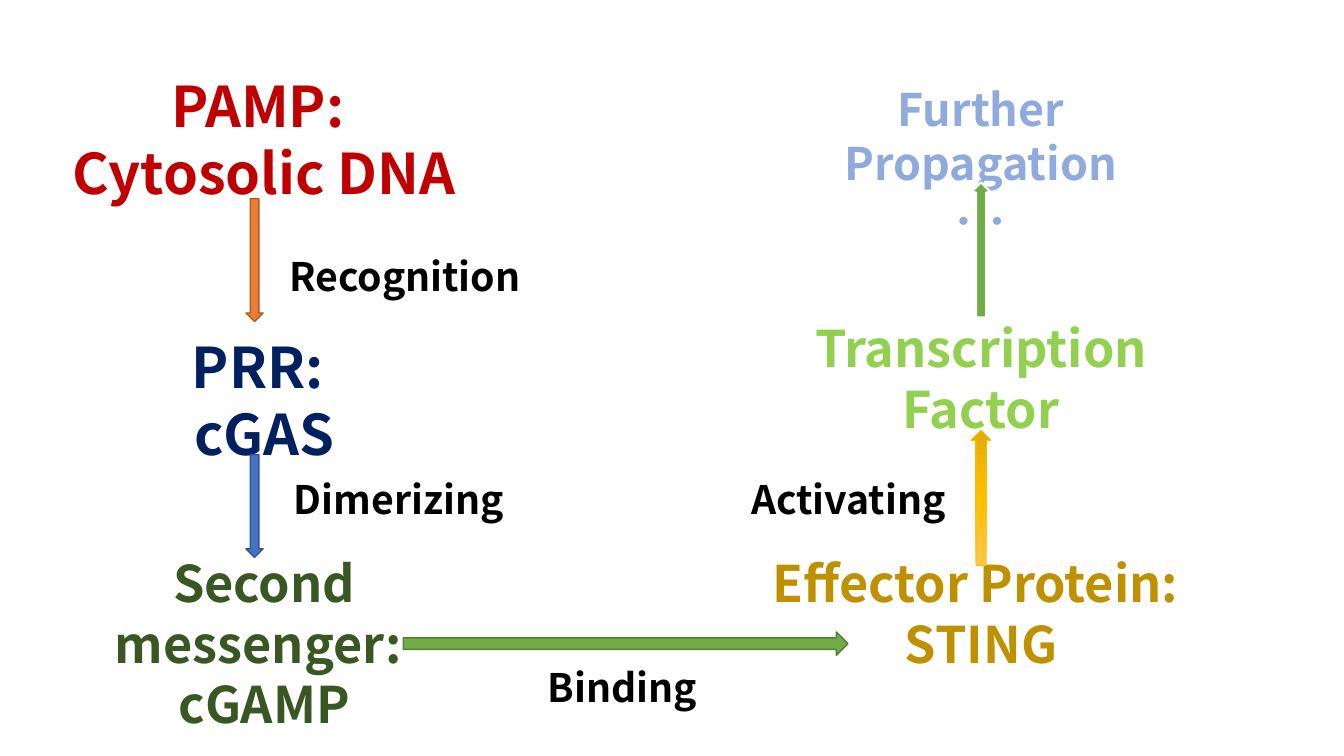
from copy import deepcopy
from lxml.etree import SubElement
from pptx import Presentation
from pptx.dml.color import RGBColor
from pptx.enum.lang import MSO_LANGUAGE_ID
from pptx.enum.shapes import MSO_SHAPE
from pptx.enum.text import MSO_ANCHOR, MSO_AUTO_SIZE, PP_ALIGN
from pptx.oxml.ns import qn
from pptx.util import Inches, Pt

THEME = {
    "font": "Noto Sans CJK SC",
    "line_height": 1.2,
    "large": 40, "medium": 36, "small": 32, "label": 28,
    "red": "C00000", "navy": "002060", "forest": "385723",
    "gold": "BF9000", "lime": "92D050", "sky": "8FAADC", "black": "000000",
    "orange": "ED7D31", "rust": "AF5C24", "blue": "4472C4", "denim": "325491",
    "green": "70AD47", "moss": "538035", "amber": "FFC000", "white": "FFFFFF",
    "sunrise": ("FFC64B", "FFC000", "E3AB00"),
}
LEFT_COLUMN, RIGHT_COLUMN = 0.3, 7.41
STAGE_WIDTH = 4.64
LABEL_WIDTH, LABEL_HEIGHT = 2.65, 1.04

presentation = Presentation()
presentation.slide_width, presentation.slide_height = Inches(13.33), Inches(7.5)
slide = presentation.slides.add_slide(presentation.slide_layouts[6])


def add_text(left, top, width, height, color, lines):
    shape = slide.shapes.add_textbox(*map(Inches, (left, top, width, height)))
    frame = shape.text_frame
    frame.word_wrap = True
    frame.auto_size = MSO_AUTO_SIZE.SHAPE_TO_FIT_TEXT
    frame.vertical_anchor = MSO_ANCHOR.TOP
    frame.margin_top = Inches(0.05) + Pt(lines[0][1] * 0.1)
    for index, (text, size) in enumerate(lines):
        paragraph = frame.add_paragraph() if index else frame.paragraphs[0]
        paragraph.alignment = PP_ALIGN.CENTER
        paragraph.line_spacing = Pt(size * THEME["line_height"])
        run = paragraph.add_run()
        run.text = text
        run.font.name = THEME["font"]
        run.font.size = Pt(size)
        run.font.bold = True
        run.font.color.rgb = RGBColor.from_string(THEME[color])
        run.font.language_id = MSO_LANGUAGE_ID.SIMPLIFIED_CHINESE
        SubElement(run.font._element, qn("a:ea"), typeface=THEME["font"])


large, medium, small = THEME["large"], THEME["medium"], THEME["small"]
stages = [
    (LEFT_COLUMN, 3.19, 1.45, "navy", [("PRR: ", large), ("cGAS", large)]),
    (LEFT_COLUMN, 0.6, 1.45, "red", [("PAMP: ", large), ("Cytosolic DNA", large)]),
    (LEFT_COLUMN, 5.38, 1.31, "forest", [("Second messenger: ", medium), ("cGAMP", medium)]),
    (RIGHT_COLUMN, 5.38, 1.31, "gold", [("Effector Protein: ", medium), ("STING", medium)]),
    (RIGHT_COLUMN, 3.05, 1.31, "lime", [("Transcription Factor", medium)]),
    (RIGHT_COLUMN, 0.72, 1.25, "sky", [("Further Propagation", small), ("…", medium)]),
]
for left, top, height, color, lines in stages:
    add_text(left, top, STAGE_WIDTH, height, color, lines)

arrows = [
    (2.44, 1.97, 0.17, 1.22, 0, "orange", "rust", 1),
    (2.44, 4.51, 0.17, 1.02, 0, "blue", "denim", 1),
    (6.09, 4.18, 0.23, 4.41, 270, "green", "moss", 1),
    (9.63, 4.27, 0.2, 1.34, 180, "sunrise", "amber", 0.5),
    (9.63, 1.81, 0.2, 1.34, 180, "green", "white", 1.5),
]
for left, top, width, height, rotation, fill, line, weight in arrows:
    arrow = slide.shapes.add_shape(
        MSO_SHAPE.DOWN_ARROW, *map(Inches, (left, top, width, height)))
    arrow.rotation = rotation
    arrow.shadow.inherit = False
    arrow.line.color.rgb = RGBColor.from_string(THEME[line])
    arrow.line.width = Pt(weight)
    if fill == "sunrise":
        arrow.fill.gradient()
        arrow.fill.gradient_angle = 270
        stop_list = arrow._element.spPr.find(f".//{qn('a:gsLst')}")
        stop_list.insert(1, deepcopy(stop_list[0]))
        for index, stop in enumerate(arrow.fill.gradient_stops):
            stop.position = index / 2
            stop.color.rgb = RGBColor.from_string(THEME[fill][index])
    else:
        arrow.fill.solid()
        arrow.fill.fore_color.rgb = RGBColor.from_string(THEME[fill])

labels = [
    ("Dimerizing", 2.63, 4.63),
    ("Recognition", 2.69, 2.41),
    ("Binding", 4.85, 6.49),
    ("Activating", 7.09, 4.63),
]
for text, left, top in labels:
    add_text(left, top, LABEL_WIDTH, LABEL_HEIGHT, "black", [(text, THEME["label"])])

presentation.save("out.pptx")
